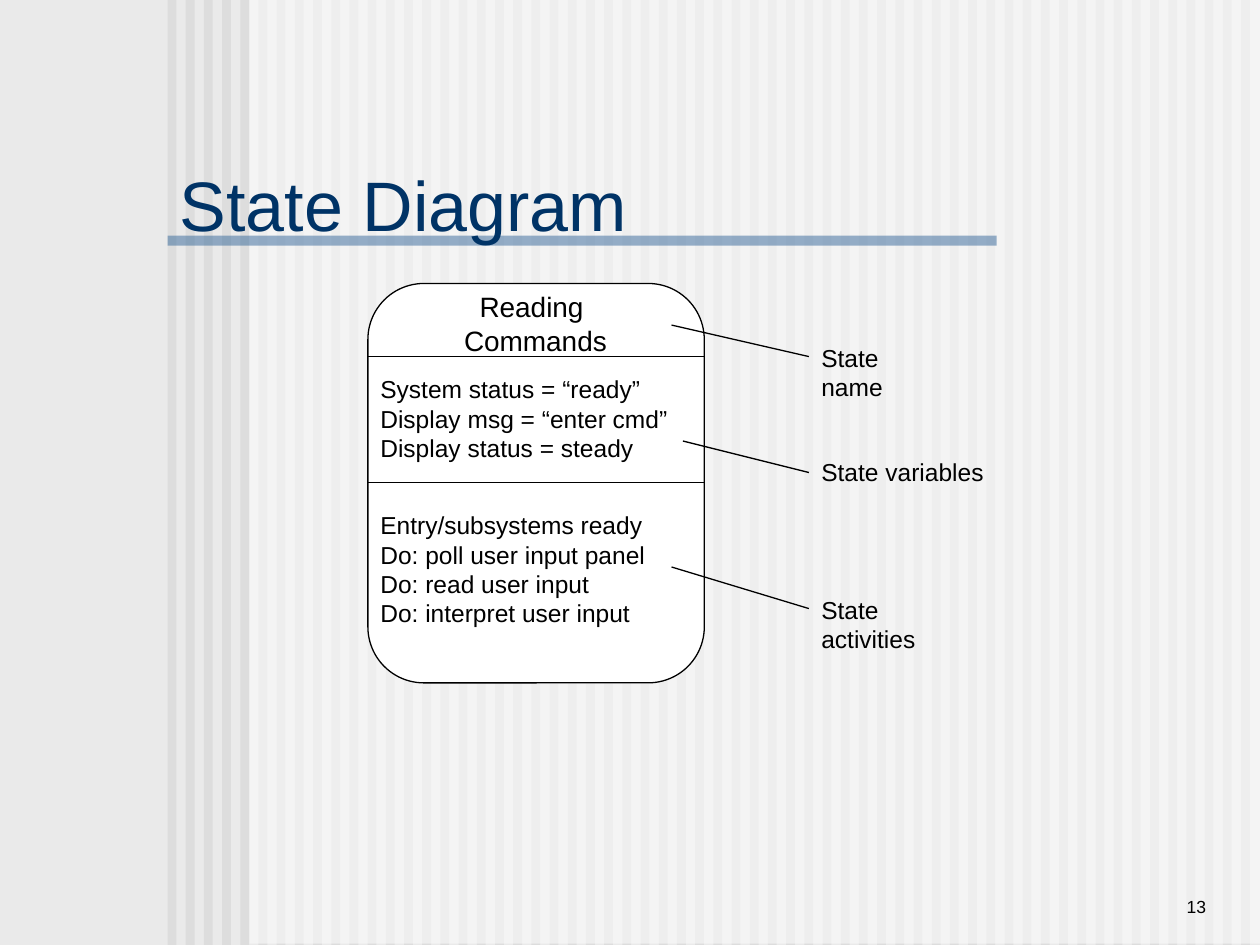
from lxml import etree
from pptx import Presentation
from pptx.dml.color import RGBColor
from pptx.enum.shapes import MSO_CONNECTOR, MSO_SHAPE
from pptx.enum.text import MSO_ANCHOR, PP_ALIGN
from pptx.oxml.ns import qn
from pptx.util import Inches, Pt

RECTANGLE, ROUNDED = MSO_SHAPE.RECTANGLE, MSO_SHAPE.ROUNDED_RECTANGLE
STRAIGHT = MSO_CONNECTOR.STRAIGHT
TOP, BOTTOM = MSO_ANCHOR.TOP, MSO_ANCHOR.BOTTOM
LEFT, CENTER, RIGHT = PP_ALIGN.LEFT, PP_ALIGN.CENTER, PP_ALIGN.RIGHT

# Content
TITLE = "State Diagram"
PAGE_NUMBER = "13"
STATE_NAME = ["Reading ", "Commands"]
STATE_VARIABLES = [
    "System status = “ready”",
    "Display msg = “enter cmd”",
    "Display status = steady",
]
STATE_ACTIVITIES = [
    "Entry/subsystems ready",
    "Do: poll user input panel",
    "Do: read user input",
    "Do: interpret user input",
]
# Label, its top and width, height of the line at the label, inner line end
CALLOUTS = [
    ("State name", 2.67, 1.19, 2.83, (5.33, 2.58)),
    ("State variables", 3.58, 1.49, 3.75, (5.42, 3.5)),
    ("State activities", 4.67, 1.45, 4.83, (5.33, 4.5)),
]

# Layout and colours
PAGE_WIDTH, PAGE_HEIGHT = 10, 7.5
STRIPE_COUNT, STRIPE_LEFT, STRIPE_RIGHT, STRIPE_WIDTH = 60, 1.33, 9.85, 0.07
STATE_LEFT, STATE_TOP, STATE_WIDTH, STATE_HEIGHT = 2.92, 2.25, 2.67, 3.17
DIVIDERS = [2.83, 3.83]
CALLOUT_LEFT = 6.42
BLACK, WHITE, GREY, STRIPE = "000000", "FFFFFF", "EAEAEA", "DDDDDD"
NAVY, BLUE = "003366", "336699"


def color(value):
    return RGBColor.from_string(value)


def add_block(page, kind, left, top, width, height, fill, opacity=100, line=None):
    block = page.shapes.add_shape(
        kind, Inches(left), Inches(top), Inches(width), Inches(height))
    block.shadow.inherit = False
    block.fill.solid()
    block.fill.fore_color.rgb = color(fill)
    if opacity < 100:
        tint = block.fill._xPr.find(qn("a:solidFill"))[0]
        etree.SubElement(tint, qn("a:alpha"), val=str(opacity * 1000))
    if line:
        block.line.color.rgb = color(line)
        block.line.width = Pt(0.75)
    else:
        block.line.fill.background()
    return block


def add_line(page, start, end):
    line = page.shapes.add_connector(
        STRAIGHT, *(Inches(value) for value in (*start, *end)))
    line.line.color.rgb = color(BLACK)
    line.line.width = Pt(0.75)
    etree.SubElement(line._element.spPr, qn("a:effectLst"))


def add_text(page, lines, left, top, width, height, size=14, fill=BLACK,
             align=LEFT, anchor=TOP, wrap=True):
    box = page.shapes.add_textbox(
        Inches(left), Inches(top), Inches(width), Inches(height))
    frame = box.text_frame
    frame.word_wrap = wrap
    frame.vertical_anchor = anchor
    frame.text = "\n".join(lines)
    for para in frame.paragraphs:
        para.alignment = align
        for span in para.runs:
            span.font.name = "Arial"
            span.font.size = Pt(size)
            span.font.color.rgb = color(fill)


def main():
    deck = Presentation()
    deck.slide_width, deck.slide_height = Inches(PAGE_WIDTH), Inches(PAGE_HEIGHT)
    page = deck.slides.add_slide(deck.slide_layouts[6])
    page.background.fill.solid()
    page.background.fill.fore_color.rgb = color(GREY)

    # Striped backdrop under a translucent panel
    pitch = (STRIPE_RIGHT - STRIPE_LEFT) / (STRIPE_COUNT - 1)
    for index in range(STRIPE_COUNT):
        add_block(page, RECTANGLE, STRIPE_LEFT + index * pitch, 0,
                  STRIPE_WIDTH, PAGE_HEIGHT, STRIPE)
    add_block(page, RECTANGLE, 1.98, -0.01, 8.02, PAGE_HEIGHT, WHITE, opacity=50)

    # Title and its rule
    add_block(page, RECTANGLE, 1.33, 1.87, 6.58, 0.08, BLUE, opacity=50)
    add_text(page, [TITLE], 1.33, 1.25, 4.75, 0.75, size=40, fill=NAVY, anchor=BOTTOM)

    # State box with its three compartments
    add_block(page, ROUNDED, STATE_LEFT, STATE_TOP, STATE_WIDTH, STATE_HEIGHT,
              WHITE, line=BLACK)
    for height in DIVIDERS:
        add_line(page, (STATE_LEFT, height), (STATE_LEFT + STATE_WIDTH, height))
    add_text(page, STATE_NAME, 3.58, STATE_TOP, 1.34, 0.64, size=16, align=CENTER)
    add_text(page, STATE_VARIABLES, STATE_LEFT, 2.92, 2.58, 0.8)
    add_text(page, STATE_ACTIVITIES, STATE_LEFT, 4, 2.58, 1.27)

    # Callouts
    for label, top, width, line_height, target in CALLOUTS:
        add_text(page, [label], CALLOUT_LEFT, top, width, 0.34, wrap=False)
        add_line(page, (CALLOUT_LEFT, line_height), target)

    # Page number
    add_text(page, [PAGE_NUMBER], 8.25, 6.83, 1.42, 0.5, size=10,
             align=RIGHT, anchor=BOTTOM)

    deck.save("out.pptx")


if __name__ == "__main__":
    main()
